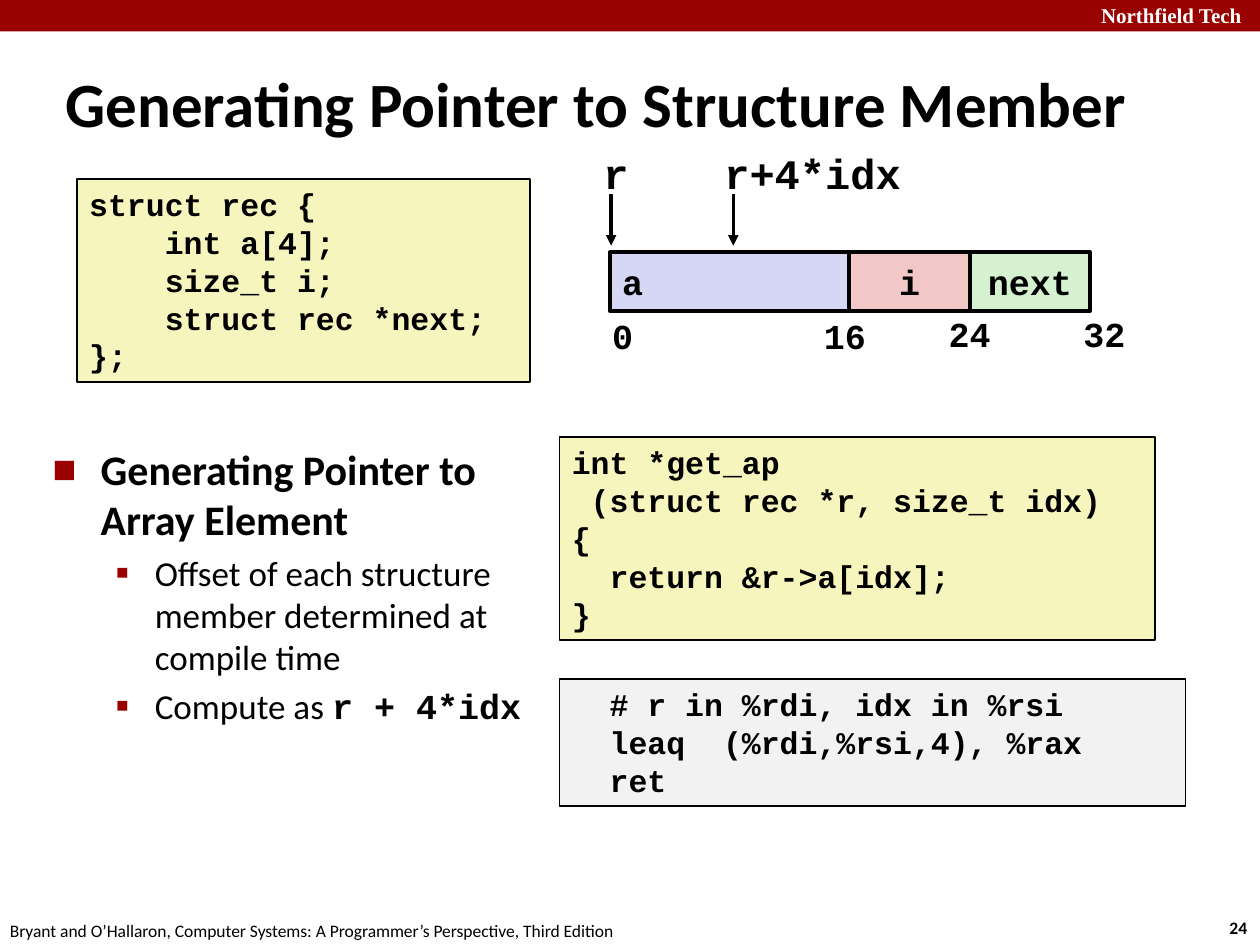
from dataclasses import dataclass

from lxml.etree import SubElement
from pptx import Presentation
from pptx.dml.color import RGBColor
from pptx.enum.shapes import MSO_CONNECTOR, MSO_SHAPE
from pptx.enum.text import MSO_ANCHOR, MSO_AUTO_SIZE, PP_ALIGN
from pptx.oxml.ns import qn
from pptx.slide import Slide
from pptx.util import Inches, Pt

BLACK = RGBColor(0x00, 0x00, 0x00)
WHITE = RGBColor(0xFF, 0xFF, 0xFF)
DARK_RED = RGBColor(0x99, 0x00, 0x00)
CODE_YELLOW = RGBColor(0xF6, 0xF5, 0xBD)
ASSEMBLY_GRAY = RGBColor(0xF2, 0xF2, 0xF2)
ARRAY_BLUE = RGBColor(0xD6, 0xD6, 0xF5)
INDEX_RED = RGBColor(0xF1, 0xC7, 0xC7)
NEXT_GREEN = RGBColor(0xD5, 0xF1, 0xCF)
SANS = "Calibri"
MONO = "Courier New"
SERIF = "Times New Roman"
CODE_CHARACTER_WIDTH = 0.15


@dataclass(frozen=True)
class Label:
    text: str
    left: float
    top: float
    width: float
    height: float
    size: int
    font: str = MONO
    color: RGBColor = BLACK
    bold: bool = True


@dataclass(frozen=True)
class CodeBlock:
    lines: tuple[str, ...]
    left: float
    top: float
    width: float
    height: float
    fill: RGBColor


@dataclass(frozen=True)
class Field:
    name: str
    width: float
    fill: RGBColor
    align: PP_ALIGN


@dataclass(frozen=True)
class Bullet:
    spans: tuple[tuple[str, str, bool], ...]
    size: int
    margin: float
    hanging: float
    mark: str
    mark_percent: int


LABELS = (
    Label("Northfield Tech", 8.64, -0.03, 1.43, 0.3, 12, SERIF, WHITE),
    Label("24", 9.66, 7.23, 0.37, 0.27, 10, SANS),
    Label("Bryant and O’Hallaron, Computer Systems: A Programmer’s Perspective, Third Edition",
          -0.02, 7.25, 5.08, 0.27, 10, SANS, bold=False),
    Label("r", 4.69, 1.12, 0.4, 0.5, 24),
    Label("r+4*idx", 5.65, 1.12, 1.62, 0.5, 24),
    Label("0", 4.76, 2.45, 0.36, 0.43, 20),
    Label("16", 6.44, 2.45, 0.54, 0.43, 20),
    Label("24", 7.43, 2.43, 0.54, 0.43, 20),
    Label("32", 8.5, 2.43, 0.54, 0.43, 20),
)
CODE_BLOCKS = (
    CodeBlock(("struct rec {", "    int a[4];", "    size_t i;", "    struct rec *next;", "};"),
              0.61, 1.42, 3.6, 1.61, CODE_YELLOW),
    CodeBlock(("int *get_ap", " (struct rec *r, size_t idx)", "{", "  return &r->a[idx];", "}"),
              4.44, 3.47, 4.73, 1.61, CODE_YELLOW),
    CodeBlock(("  # r in %rdi, idx in %rsi", "  leaq  (%rdi,%rsi,4), %rax", "  ret"),
              4.44, 5.39, 4.97, 1.01, ASSEMBLY_GRAY),
)
FIELDS = (
    Field("a", 1.9, ARRAY_BLUE, PP_ALIGN.LEFT),
    Field("i", 0.96, INDEX_RED, PP_ALIGN.CENTER),
    Field("next", 0.95, NEXT_GREEN, PP_ALIGN.CENTER),
)
BULLETS = (
    Bullet((("Generating Pointer to Array Element", SANS, True),), 24, 0.38, 0.38, "■", 60),
    Bullet((("Offset of each structure member determined at compile time", SANS, False),),
           20, 0.81, 0.31, "▪", 110),
    Bullet((("Compute as ", SANS, False), ("r + 4*idx", MONO, True)), 20, 0.81, 0.31, "▪", 110),
)
POINTERS = (4.85, 5.82)


def add_span(para, text: str, size: int, font: str, bold: bool, color: RGBColor = BLACK) -> None:
    span = para.add_run()
    span.text = text
    span.font.size = Pt(size)
    span.font.name = font
    span.font.bold = bold
    span.font.color.rgb = color


def set_indent(para, margin: float, first_line: float) -> None:
    properties = para._p.get_or_add_pPr()
    properties.set("marL", str(Inches(margin)))
    properties.set("indent", str(Inches(first_line)))


def add_box(page: Slide, left: float, top: float, width: float, height: float,
            fill: RGBColor, line_width: float = 0):
    box = page.shapes.add_shape(MSO_SHAPE.RECTANGLE, Inches(left), Inches(top),
                                Inches(width), Inches(height))
    box.shadow.inherit = False
    box.fill.solid()
    box.fill.fore_color.rgb = fill
    if line_width:
        box.line.color.rgb = BLACK
        box.line.width = Pt(line_width)
    else:
        box.line.fill.background()
    return box


def add_label(page: Slide, label: Label) -> None:
    box = page.shapes.add_textbox(Inches(label.left), Inches(label.top),
                                  Inches(label.width), Inches(label.height))
    box.text_frame.word_wrap = False
    box.text_frame.auto_size = MSO_AUTO_SIZE.SHAPE_TO_FIT_TEXT
    add_span(box.text_frame.paragraphs[0], label.text, label.size, label.font,
             label.bold, label.color)


def add_code(page: Slide, block: CodeBlock) -> None:
    box = add_box(page, block.left, block.top, block.width, block.height, block.fill, 1)
    frame = box.text_frame
    frame.word_wrap = True
    frame.auto_size = MSO_AUTO_SIZE.SHAPE_TO_FIT_TEXT
    frame.vertical_anchor = MSO_ANCHOR.TOP
    for number, line in enumerate(block.lines):
        para = frame.add_paragraph() if number else frame.paragraphs[0]
        para.alignment = PP_ALIGN.LEFT
        code = line.lstrip()
        set_indent(para, (len(line) - len(code)) * CODE_CHARACTER_WIDTH, 0)
        add_span(para, code, 18, MONO, True)


def add_fields(page: Slide, left: float, top: float, height: float) -> None:
    for field in FIELDS:
        box = add_box(page, left, top, field.width, height, field.fill, 2)
        box.text_frame.word_wrap = False
        box.text_frame.vertical_anchor = MSO_ANCHOR.MIDDLE
        para = box.text_frame.paragraphs[0]
        para.alignment = field.align
        add_span(para, field.name, 20, MONO, True)
        left += field.width


def add_pointer(page: Slide, x: float, top: float, bottom: float) -> None:
    arrow = page.shapes.add_connector(MSO_CONNECTOR.STRAIGHT, Inches(x), Inches(top),
                                      Inches(x), Inches(bottom))
    arrow.line.color.rgb = BLACK
    arrow.line.width = Pt(2)
    SubElement(arrow.line._get_or_add_ln(), qn("a:tailEnd"), type="triangle")
    SubElement(arrow._element.spPr, qn("a:effectLst"))


def add_bullets(page: Slide) -> None:
    box = page.shapes.add_textbox(Inches(0.32), Inches(3.47), Inches(4.29), Inches(3.13))
    frame = box.text_frame
    frame.word_wrap = True
    for number, bullet in enumerate(BULLETS):
        para = frame.add_paragraph() if number else frame.paragraphs[0]
        para.level = 1 if number else 0
        para.space_before = Pt(bullet.size * 0.2)
        set_indent(para, bullet.margin, -bullet.hanging)
        properties = para._p.get_or_add_pPr()
        color = SubElement(properties, qn("a:buClr"))
        SubElement(color, qn("a:srgbClr"), val=str(DARK_RED))
        SubElement(properties, qn("a:buSzPct"), val=str(bullet.mark_percent * 1000))
        SubElement(properties, qn("a:buFont"), typeface=SANS)
        SubElement(properties, qn("a:buChar"), char=bullet.mark)
        for text, font, bold in bullet.spans:
            add_span(para, text, bullet.size, font, bold)


def format_title(page: Slide) -> None:
    title = page.shapes.title
    title.left, title.top = Inches(0.42), Inches(0.5)
    title.width, title.height = Inches(9.08), Inches(0.63)
    title.text_frame.auto_size = MSO_AUTO_SIZE.NONE
    title.text_frame.vertical_anchor = MSO_ANCHOR.MIDDLE
    para = title.text_frame.paragraphs[0]
    para.alignment = PP_ALIGN.LEFT
    set_indent(para, 0.13, -0.13)
    add_span(para, "Generating Pointer to Structure Member", 36, SANS, True)


def main() -> None:
    deck = Presentation()
    deck.slide_width, deck.slide_height = Inches(10), Inches(7.5)
    page = deck.slides.add_slide(deck.slide_layouts[5])
    format_title(page)
    add_box(page, 0, 0, 10, 0.25, DARK_RED)
    for block in CODE_BLOCKS:
        add_code(page, block)
    add_bullets(page)
    add_fields(page, 4.84, 2, 0.47)
    for x in POINTERS:
        add_pointer(page, x, 1.54, 1.95)
    for label in LABELS:
        add_label(page, label)
    deck.save("out.pptx")


if __name__ == "__main__":
    main()
